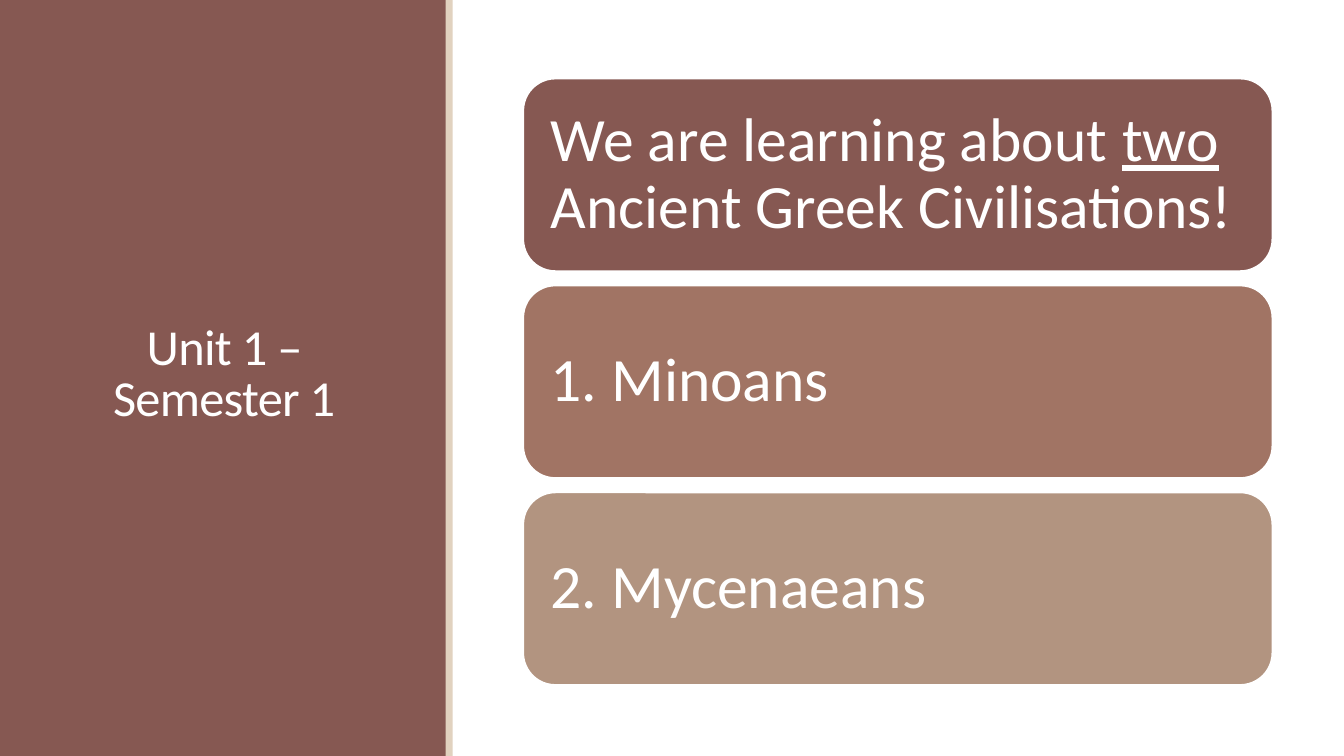
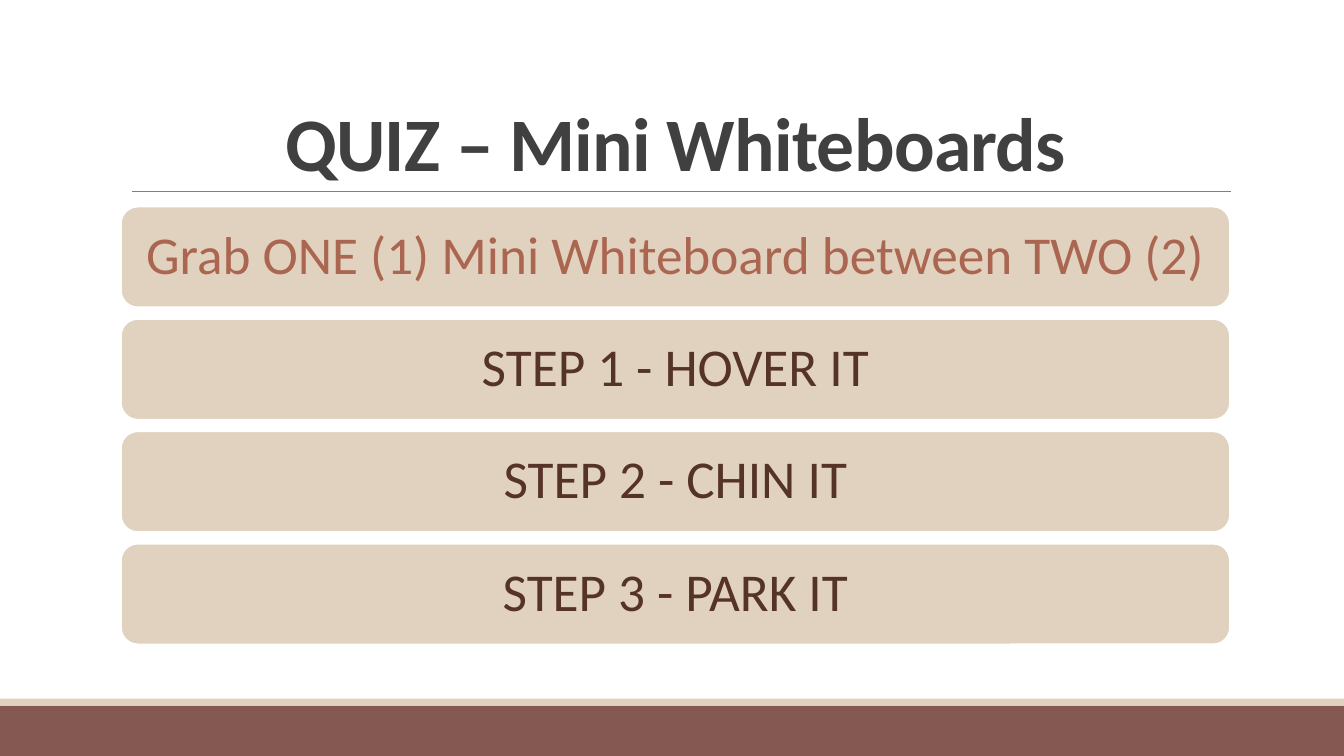
import pptx
import pptx.dml.color
import pptx.enum.shapes
import pptx.enum.text
import pptx.oxml
import pptx.oxml.ns
import pptx.util

SLIDE_WIDTH = pptx.util.Inches(13.33)
SLIDE_HEIGHT = pptx.util.Inches(7.5)
FONT = "Calibri"
COLOURS = {
    "brown": "865852",
    "clay": "A17464",
    "tan": "B29480",
    "sand": "E1D2BF",
    "rust": "AA6650",
    "dark brown": "553328",
    "charcoal": "404040",
    "grey": "808080",
    "white": "FFFFFF",
}
SHAPES = pptx.enum.shapes.MSO_SHAPE
ANCHOR = pptx.enum.text.MSO_ANCHOR
ALIGN = pptx.enum.text.PP_ALIGN


def colour(name):
    return pptx.dml.color.RGBColor.from_string(COLOURS[name])


def across(percent):
    return round(SLIDE_WIDTH * percent / 100)


def down(percent):
    return round(SLIDE_HEIGHT * percent / 100)


def place(left, top, width, height):
    """Turn shares of the slide, in percent, into a position and size."""
    return across(left), down(top), across(width), down(height)


def add_filled_shape(slide, kind, box, fill):
    shape = slide.shapes.add_shape(kind, *place(*box))
    shape.shadow.inherit = False
    shape.fill.solid()
    shape.fill.fore_color.rgb = colour(fill)
    shape.line.fill.background()
    return shape


def add_band(slide, box, fill):
    add_filled_shape(slide, SHAPES.RECTANGLE, box, fill)


def format_paragraph(paragraph, size, font_colour, alignment, line_spacing):
    paragraph.alignment = alignment
    paragraph.line_spacing = line_spacing
    for run in paragraph.runs:
        run.font.name = FONT
        run.font.size = pptx.util.Pt(size)
        run.font.color.rgb = colour(font_colour)


def add_title(slide, text, box, size, font_colour, anchor, bold=False):
    text_frame = slide.shapes.add_textbox(*place(*box)).text_frame
    text_frame.word_wrap = True
    text_frame.vertical_anchor = anchor
    text_frame.text = text
    paragraph = text_frame.paragraphs[0]
    format_paragraph(paragraph, size, font_colour, ALIGN.CENTER, 0.85)
    for run in paragraph.runs:
        run.font.bold = bold
        run._r.get_or_add_rPr().set("spc", "-50")


def add_card(slide, text, box, fill, font_colour, size, inset, alignment):
    card = add_filled_shape(slide, SHAPES.ROUNDED_RECTANGLE, box, fill)
    card.line.color.rgb = colour("white")
    card.line.width = pptx.util.Pt(1.25)
    text_frame = card.text_frame
    text_frame.word_wrap = True
    text_frame.vertical_anchor = ANCHOR.MIDDLE
    for side in ("left", "top", "right", "bottom"):
        setattr(text_frame, f"margin_{side}", pptx.util.Inches(inset))
    paragraph = text_frame.paragraphs[0]
    pieces = [text] if isinstance(text, str) else text
    for index, piece in enumerate(pieces):
        run = paragraph.add_run()
        run.text = piece
        if index % 2:
            run.font.underline = True
    format_paragraph(paragraph, size, font_colour, alignment, 0.9)


def add_card_stack(slide, cards, box, gap, size, inset, alignment):
    """Stack (text, fill, font colour) cards down from the first card's box.

    A text given as a tuple has every second piece underlined.
    """
    left, top, width, height = box
    for row, (text, fill, font_colour) in enumerate(cards):
        card_box = (left, top + row * (height + gap), width, height)
        add_card(slide, text, card_box, fill, font_colour, size, inset, alignment)


def add_rule(slide, start, end, level):
    rule = slide.shapes.add_connector(
        pptx.enum.shapes.MSO_CONNECTOR.STRAIGHT,
        across(start), down(level), across(end), down(level))
    rule.line.color.rgb = colour("grey")
    rule.line.width = pptx.util.Pt(0.5)
    properties = rule._element.spPr
    properties.append(pptx.oxml.parse_xml(
        f"<a:effectLst {pptx.oxml.ns.nsdecls('a')}/>"))


def add_blank_slide(presentation):
    return presentation.slides.add_slide(presentation.slide_layouts[6])


def build_unit_slide(presentation):
    slide = add_blank_slide(presentation)
    add_band(slide, (0, 0, 33.22, 100), "brown")
    add_title(slide, "Unit 1 – Semester 1", (4.05, 7.6, 25.27, 84.13),
              36, "white", ANCHOR.MIDDLE)
    add_band(slide, (33.15, 0, 0.53, 100), "sand")
    cards = [
        (("We are learning about ", "two", " Ancient Greek Civilisations!"),
         "brown", "white"),
        ("1. Minoans", "clay", "white"),
        ("2. Mycenaeans", "tan", "white"),
    ]
    add_card_stack(slide, cards, (38.93, 10.4, 55.74, 25.47), 1.9,
                   44, 0.18, ALIGN.LEFT)


def build_quiz_slide(presentation):
    slide = add_blank_slide(presentation)
    add_band(slide, (0, 93.33, 100, 6.67), "brown")
    add_band(slide, (0, 92.4, 100, 0.93), "sand")
    add_rule(slide, 9.83, 91.6, 25.33)
    add_title(slide, "QUIZ – Mini Whiteboards", (9, 4.13, 82.52, 21.2),
              54, "charcoal", ANCHOR.BOTTOM, bold=True)
    cards = [("Grab ONE (1) Mini Whiteboard between TWO (2)", "sand", "rust")]
    for number, action in enumerate(("HOVER", "CHIN", "PARK"), start=1):
        cards.append((f"STEP {number} - {action} IT", "sand", "dark brown"))
    add_card_stack(slide, cards, (9, 27.33, 82.52, 13.33), 1.53,
                   38, 0.16, ALIGN.CENTER)


def main():
    presentation = pptx.Presentation()
    presentation.slide_width = SLIDE_WIDTH
    presentation.slide_height = SLIDE_HEIGHT
    build_unit_slide(presentation)
    build_quiz_slide(presentation)
    presentation.save("out.pptx")


if __name__ == "__main__":
    main()
